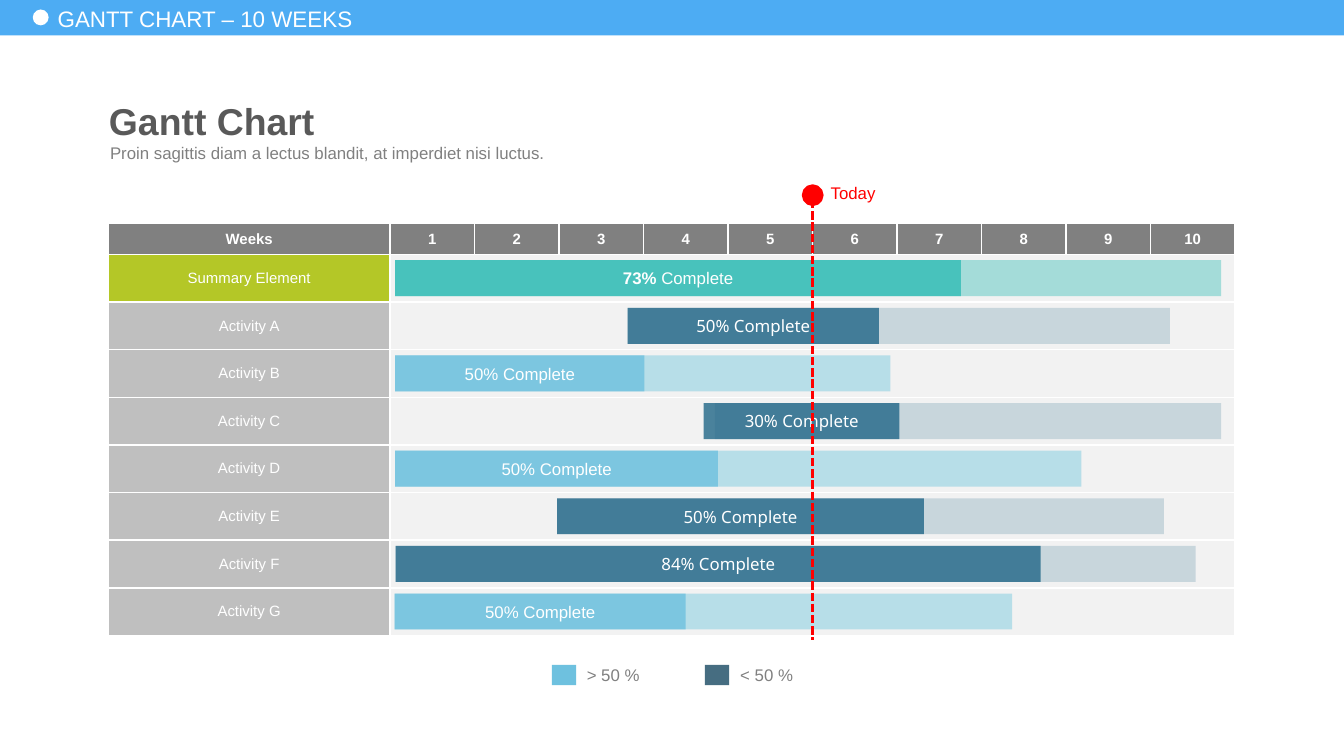
from lxml import etree
from pptx import Presentation
from pptx.dml.color import RGBColor
from pptx.enum.dml import MSO_LINE
from pptx.enum.shapes import MSO_CONNECTOR, MSO_SHAPE
from pptx.enum.text import MSO_ANCHOR, MSO_AUTO_SIZE, PP_ALIGN
from pptx.oxml.ns import qn
from pptx.util import Cm, Pt

COLORS = {
    "white": "FFFFFF", "header": "4DACF3", "title": "595959", "text": "808080",
    "summary": "B4C727", "activity": "BFBFBF", "track": "F2F2F2",
    "teal": "31BCB5", "sky": "6EC1DF", "pale": "B7DEE8",
    "navy": "216687", "legend": "184962", "today": "FF0000",
}

prs = Presentation()
prs.slide_width, prs.slide_height = Cm(25.4), Cm(14.29)
slide = prs.slides.add_slide(prs.slide_layouts[6])


def write(frame, runs, size, color="white", font="Arial", align=PP_ALIGN.LEFT,
          anchor=MSO_ANCHOR.TOP, wrap=False):
    frame.margin_left = frame.margin_right = Cm(0.22)
    frame.margin_top = frame.margin_bottom = Cm(0.11)
    frame.vertical_anchor = anchor
    frame.word_wrap = wrap
    paragraph = frame.paragraphs[0]
    paragraph.alignment = align
    for text, bold in runs:
        run = paragraph.add_run()
        run.text = text
        run.font.size, run.font.name, run.font.bold = Pt(size), font, bold
        run.font.color.rgb = RGBColor.from_string(COLORS[color])
    return paragraph


def block(left, top, width, height, color, opacity=100, kind=MSO_SHAPE.RECTANGLE):
    shape = slide.shapes.add_shape(kind, Cm(left), Cm(top), Cm(width), Cm(height))
    shape.shadow.inherit = False
    shape.line.fill.background()
    shape.fill.solid()
    shape.fill.fore_color.rgb = RGBColor.from_string(COLORS[color])
    if opacity < 100:
        fill = shape._element.spPr.find(qn("a:solidFill"))
        etree.SubElement(fill[0], qn("a:alpha"), val=str(opacity * 1000))
    return shape


block(0, -0.05, 25.4, 0.72, "header")
block(0.62, 0.18, 0.3, 0.3, "white", kind=MSO_SHAPE.OVAL)
header = slide.shapes.add_textbox(Cm(0.87), Cm(-0.01), Cm(11.81), Cm(0.74))
write(header.text_frame, [("GANTT CHART – 10 WEEKS", False)], 12,
      anchor=MSO_ANCHOR.MIDDLE, wrap=True)

headings = [
    (1.84, 1.74, 22.3, 0.91, "Gantt Chart", 20, "title", True),
    (1.86, 2.58, 12.73, 1.09,
     "Proin sagittis diam a lectus blandit, at imperdiet nisi luctus.", 9, "text", False),
]
for left, top, width, height, text, size, color, bold in headings:
    box = slide.shapes.add_textbox(Cm(left), Cm(top), Cm(width), Cm(height))
    paragraph = write(box.text_frame, [(text, bold)], size, color)
    paragraph.space_before = Pt(size * 0.1)

block(10.43, 12.57, 0.46, 0.38, "sky")
block(13.32, 12.57, 0.46, 0.38, "legend", 80)

labels = [
    (10.87, 12.46, 1.45, "> 50 %", "text"),
    (13.77, 12.46, 1.45, "< 50 %", "text"),
    (15.48, 3.34, 1.32, "Today", "today"),
]
for left, top, width, text, color in labels:
    label = slide.shapes.add_textbox(Cm(left), Cm(top), Cm(width), Cm(0.61))
    write(label.text_frame, [(text, False)], 9, color)
    label.text_frame.auto_size = MSO_AUTO_SIZE.SHAPE_TO_FIT_TEXT

styles = {
    "teal": ("teal", 40, "Arial"),
    "sky": ("pale", 100, "Arial"),
    "navy": ("navy", 20, "Noto Sans"),
}
tasks = [
    ("Summary Element", "teal", 7.47, 15.61, 7.47, 10.69, "73%"),
    ("Activity A", "navy", 11.86, 10.25, 11.86, 4.75, "50%"),
    ("Activity B", "sky", 7.47, 9.36, 7.47, 4.71, "50%"),
    ("Activity C", "navy", 13.51, 9.57, 13.3, 3.7, "30%"),
    ("Activity D", "sky", 7.47, 12.97, 7.47, 6.1, "50%"),
    ("Activity E", "navy", 10.53, 11.47, 10.53, 6.93, "50%"),
    ("Activity F", "navy", 7.48, 15.12, 7.48, 12.19, "84%"),
    ("Activity G", "sky", 7.46, 11.67, 7.46, 5.5, "50%"),
]

weeks = 10
header_height, row_height = 0.59, 0.9
table_top = 4.22
table = slide.shapes.add_table(
    len(tasks) + 1, weeks + 1, Cm(2.05), Cm(table_top), Cm(21.29),
    Cm(header_height + row_height * len(tasks))).table
table.first_row = table.horz_banding = False
for index, column in enumerate(table.columns):
    column.width = Cm(1.597 if index else 5.32)
for index, row in enumerate(table.rows):
    row.height = Cm(row_height if index else header_height)
    if index:
        table.cell(index, 1).merge(table.cell(index, weeks))

for r in range(len(tasks) + 1):
    for c in range(weeks + 1):
        cell = table.cell(r, c)
        if r == 0:
            text, color = str(c) if c else "Weeks", "text"
        elif c == 0:
            text, color = tasks[r - 1][0], "summary" if r == 1 else "activity"
        else:
            text, color = "", "track"
        cell.fill.solid()
        cell.fill.fore_color.rgb = RGBColor.from_string(COLORS[color])
        cell.margin_left = cell.margin_right = Cm(0.23)
        cell.margin_top = cell.margin_bottom = Cm(0.1)
        cell.vertical_anchor = MSO_ANCHOR.MIDDLE
        paragraph = cell.text_frame.paragraphs[0]
        paragraph.alignment = PP_ALIGN.CENTER
        if text:
            run = paragraph.add_run()
            run.text = text
            run.font.size, run.font.name, run.font.bold = Pt(8), "Arial", r == 0
            run.font.color.rgb = RGBColor.from_string(COLORS["white"])
        else:
            etree.SubElement(paragraph._p, qn("a:endParaRPr"), sz="800")
        properties = cell._tc.get_or_add_tcPr()
        for position, side in enumerate(("lnL", "lnR", "lnT", "lnB")):
            border = etree.Element(qn("a:" + side), w=str(Pt(1)))
            fill = etree.SubElement(border, qn("a:solidFill"))
            etree.SubElement(fill, qn("a:srgbClr"), val=COLORS["white"])
            properties.insert(position, border)

bar_height = 0.68
first_bar = table_top + header_height + (row_height - bar_height) / 2
for index, (name, style, start, length, done_start, done, percent) in enumerate(tasks):
    rest_color, rest_opacity, font = styles[style]
    top = first_bar + index * row_height
    block(start, top, length, bar_height, rest_color, rest_opacity)
    bar = block(done_start, top, done, bar_height, style, 80)
    write(bar.text_frame, [(percent + " ", index == 0), ("Complete", False)], 9,
          font=font, align=PP_ALIGN.CENTER, anchor=MSO_ANCHOR.MIDDLE, wrap=True)

today_line = slide.shapes.add_connector(
    MSO_CONNECTOR.STRAIGHT, Cm(15.36), Cm(3.78), Cm(15.36), Cm(12.09))
etree.SubElement(today_line._element.spPr, qn("a:effectLst"))
today_dot = block(15.19, 3.52, 0.34, 0.34, "today", kind=MSO_SHAPE.OVAL)
for shape, width in [(today_line, 1.5), (today_dot, 2)]:
    shape.line.color.rgb = RGBColor.from_string(COLORS["today"])
    shape.line.width = Pt(width)
today_line.line.dash_style = MSO_LINE.SQUARE_DOT

prs.save("out.pptx")
